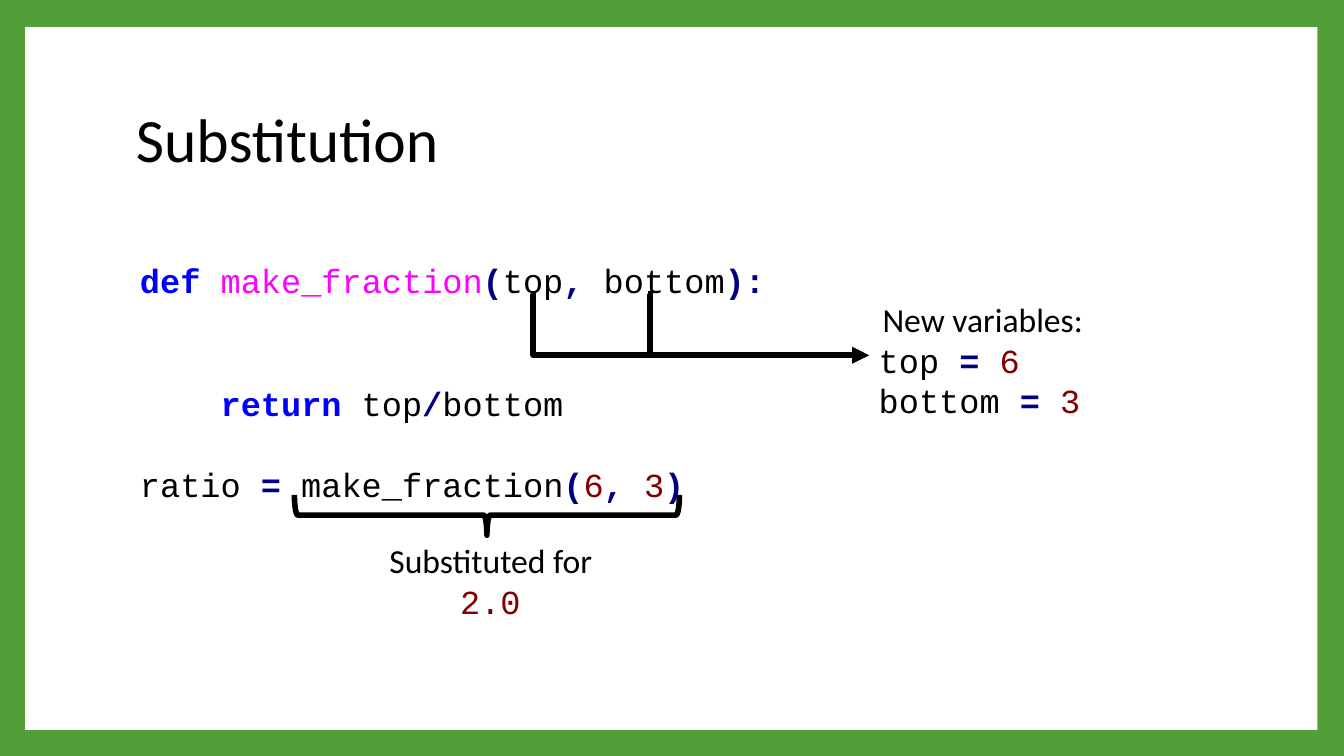
from lxml import etree
from pptx import Presentation
from pptx import util as u
from pptx.dml.color import RGBColor
from pptx.enum import shapes, text
from pptx.oxml import ns

Pt = u.Pt
GREEN, WHITE, BLACK = "549E39", "FFFFFF", "000000"
SANS, MONO = "Calibri", "Courier New"
BLANK_LINE = 29.3

# Run styles: font, colour, bold
LABEL = (SANS, BLACK, False)
NAME = (MONO, BLACK, False)
KEYWORD = (MONO, "0000FF", True)
FUNCTION = (MONO, "FF00FF", False)
OPERATOR = (MONO, "000080", True)
NUMBER = (MONO, "800000", False)


def rgb(color):
    return RGBColor.from_string(color)


class SlideBuilder:
    def __init__(self, slide, size=24, stroke=4):
        self.s, self.size, self.stroke = slide, size, stroke

    def background(self, color):
        fill = self.s.background.fill
        fill.solid()
        fill.fore_color.rgb = rgb(color)

    def panel(self, x, y, w, h, color):
        sp = self.s.shapes.add_shape(shapes.MSO_SHAPE.RECTANGLE, Pt(x), Pt(y), Pt(w), Pt(h))
        sp.shadow.inherit = False
        sp.fill.solid()
        sp.fill.fore_color.rgb = rgb(color)
        sp.line.fill.background()

    def brace(self, x, y, w, h, rotation):
        sp = self.s.shapes.add_shape(shapes.MSO_SHAPE.LEFT_BRACE, Pt(x), Pt(y), Pt(w), Pt(h))
        sp.shadow.inherit = False
        sp.rotation = rotation
        sp.fill.background()
        self.outline(sp)

    def outline(self, sp):
        sp.line.color.rgb = rgb(BLACK)
        sp.line.width = Pt(self.stroke)

    def text(self, x, y, w, h, lines, size=None, wrap=True, anchor="TOP", spacing=None):
        """Each line is (alignment, space before, runs); a run is (text, style)."""
        tf = self.s.shapes.add_textbox(Pt(x), Pt(y), Pt(w), Pt(h)).text_frame
        tf.word_wrap = wrap
        tf.vertical_anchor = getattr(text.MSO_ANCHOR, anchor)
        for i, (align, before, runs) in enumerate(lines):
            p = tf.add_paragraph() if i else tf.paragraphs[0]
            p.alignment = getattr(text.PP_ALIGN, align)
            if before:
                p.space_before = Pt(before)
            if spacing:
                p.line_spacing = spacing
            for words, (font, color, bold) in runs:
                r = p.add_run()
                r.text = words
                r.font.name, r.font.size, r.font.bold = font, Pt(size or self.size), bold
                r.font.color.rgb = rgb(color)

    def elbow_arrow(self, x1, y1, x2, y2, bend):
        """Draw a bent arrow that turns down after `bend` points."""
        cx = self.s.shapes.add_connector(
            shapes.MSO_CONNECTOR.ELBOW, Pt(x1), Pt(y1), Pt(x2), Pt(y2))
        self.outline(cx)
        props = cx._element.spPr
        guides = props.find(ns.qn("a:prstGeom")).get_or_add_avLst()
        etree.SubElement(guides, ns.qn("a:gd"), name="adj1",
                         fmla=f"val {round(bend / (x2 - x1) * 100000)}")
        etree.SubElement(props.find(ns.qn("a:ln")), ns.qn("a:tailEnd"), type="triangle")
        etree.SubElement(props, ns.qn("a:effectLst"))


def main():
    prs = Presentation()
    prs.slide_width, prs.slide_height = Pt(960), Pt(540)
    s = SlideBuilder(prs.slides.add_slide(prs.slide_layouts[6]))
    s.background(GREEN)
    s.panel(18, 19.3, 923, 502, WHITE)
    s.text(90, 48.2, 777.6, 106.6, [("LEFT", 0, [("Substitution", LABEL)])],
           size=44, anchor="MIDDLE", spacing=0.9)

    s.text(92.9, 182.2, 480, 181.4, [
        ("LEFT", 0, [("def ", KEYWORD), ("make_fraction", FUNCTION), ("(", OPERATOR),
                     ("top", NAME), (",", OPERATOR), (" bottom", NAME), ("):", OPERATOR)]),
        ("LEFT", 2 * BLANK_LINE, [("    ", NAME), ("return", KEYWORD), (" top", NAME),
                                  ("/", OPERATOR), ("bottom", NAME)]),
        ("LEFT", BLANK_LINE, [("ratio ", NAME), ("= ", OPERATOR), ("make_fraction", NAME),
                              ("(", OPERATOR), ("6", NUMBER), (", ", OPERATOR),
                              ("3", NUMBER), (")", OPERATOR)]),
    ])

    s.text(321.1, 411.1, 58.3, 36, [("CENTER", 0, [("2.0", NUMBER)])], wrap=False)
    s.brace(333.4, 230.4, 28.8, 275, rotation=270)
    s.text(267.8, 382.3, 165.6, 36, [("CENTER", 0, [("Substituted for", LABEL)])], wrap=False)

    variables = [("LEFT", 0, [(f"{name} ", NAME), ("=", OPERATOR), (" ", NAME), (value, NUMBER)])
                 for name, value in (("top", "6"), ("bottom", "3"))]
    s.text(620.6, 210.2, 162.7, 94.3,
           [("CENTER", 0, [("New variables:", LABEL)])] + variables, wrap=False)
    for argument_x in (463, 379.4):
        s.elbow_arrow(argument_x, 210.2, 620.6, 253.8, bend=1.4)
    prs.save("out.pptx")


if __name__ == "__main__":
    main()
